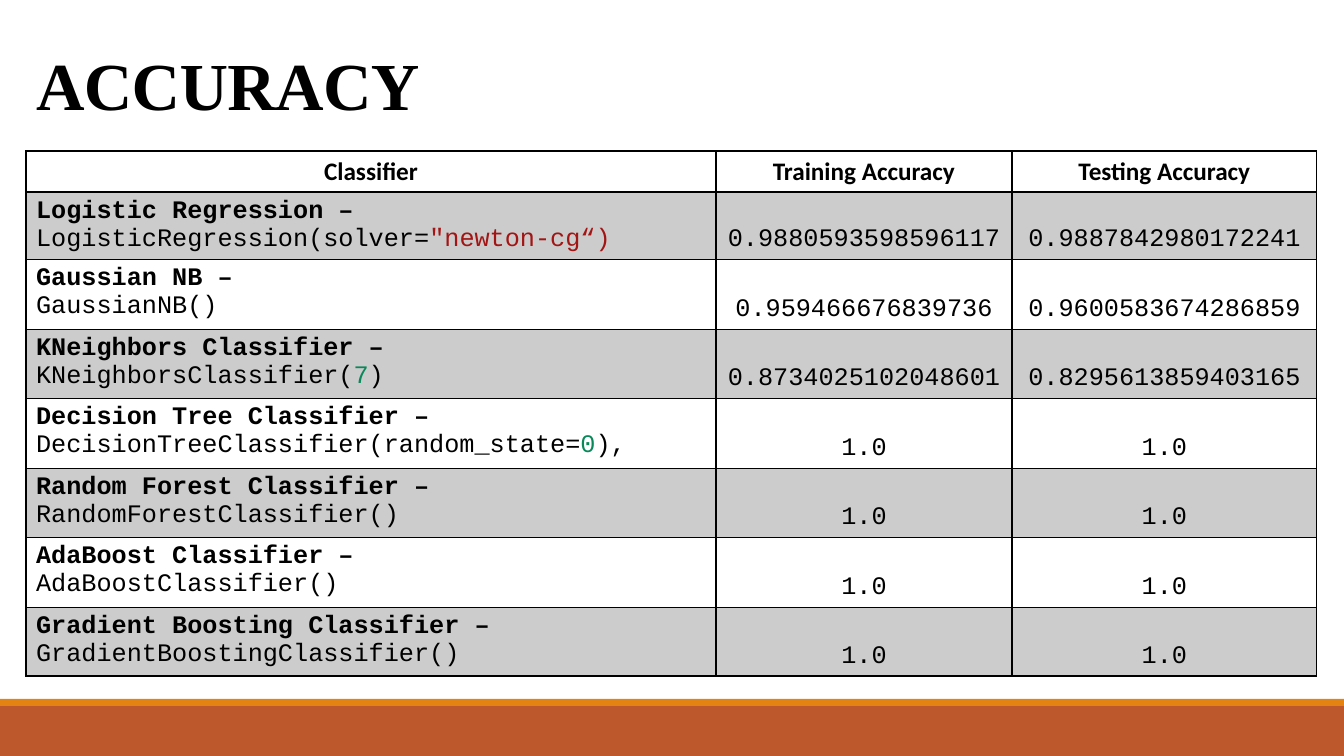
from dataclasses import dataclass

from lxml.etree import SubElement
from pptx import Presentation
from pptx.dml.color import RGBColor
from pptx.enum.shapes import MSO_CONNECTOR, MSO_SHAPE
from pptx.enum.text import MSO_ANCHOR, MSO_AUTO_SIZE, PP_ALIGN
from pptx.oxml.ns import qn
from pptx.slide import Slide
from pptx.table import _Cell
from pptx.text.text import _Paragraph
from pptx.util import Emu, Pt

PX_PER_INCH = 100.8
BLACK, STRING_RED, NUMBER_GREEN = "000000", "A31515", "09885A"
CODE_FONT = "Courier New"
HEADERS = ("Classifier", "Training Accuracy", "Testing Accuracy")
COLUMN_WIDTHS = (690, 296, 305)
ROW_HEIGHTS = (41, 67) + (70, 69) * 3


@dataclass(frozen=True)
class Fragment:
    text: str
    colour: str = BLACK


@dataclass(frozen=True)
class Classifier:
    name: str
    code: tuple[Fragment, ...]
    training: str = "1.0"
    testing: str = "1.0"


@dataclass(frozen=True)
class Band:
    top: int
    height: int
    colour: str


CLASSIFIERS = (
    Classifier("Logistic Regression",
               (Fragment("LogisticRegression(solver="), Fragment('"newton-cg“)', STRING_RED)),
               "0.9880593598596117", "0.9887842980172241"),
    Classifier("Gaussian NB", (Fragment("GaussianNB()"),),
               "0.959466676839736", "0.9600583674286859"),
    Classifier("KNeighbors Classifier",
               (Fragment("KNeighborsClassifier("), Fragment("7", NUMBER_GREEN), Fragment(")")),
               "0.8734025102048601", "0.8295613859403165"),
    Classifier("Decision Tree Classifier",
               (Fragment("DecisionTreeClassifier(random_state="), Fragment("0", NUMBER_GREEN),
                Fragment("),"))),
    Classifier("Random Forest Classifier", (Fragment("RandomForestClassifier()"),)),
    Classifier("AdaBoost Classifier", (Fragment("AdaBoostClassifier()"),)),
    Classifier("Gradient Boosting Classifier", (Fragment("GradientBoostingClassifier()"),)),
)
FOOTER_BANDS = (Band(706, 50, "BD582C"), Band(699, 7, "E48312"))


def px(length: int) -> Emu:
    return Emu(round(length * 914400 / PX_PER_INCH))


def rgb(colour: str) -> RGBColor:
    return RGBColor.from_string(colour)


def add_run(paragraph: _Paragraph, fragment: Fragment, font: str = CODE_FONT,
            size: int = 18, bold: bool = False):
    run = paragraph.add_run()
    run.text = fragment.text
    run.font.name, run.font.size, run.font.bold = font, Pt(size), bold
    run.font.color.rgb = rgb(fragment.colour)
    return run


def add_footer_band(slide: Slide, band: Band) -> None:
    stripe = slide.shapes.add_shape(MSO_SHAPE.RECTANGLE, 0, px(band.top), px(1344), px(band.height))
    stripe.shadow.inherit = False
    stripe.fill.solid()
    stripe.fill.fore_color.rgb = rgb(band.colour)
    stripe.line.fill.background()


def add_rule(slide: Slide) -> None:
    rule = slide.shapes.add_connector(MSO_CONNECTOR.STRAIGHT, px(132), px(192), px(1231), px(192))
    rule.line.color.rgb = rgb("808080")
    rule.line.width = Pt(0.5)
    SubElement(rule._element.spPr, qn("a:effectLst"))


def set_title(slide: Slide) -> None:
    title = slide.shapes.title
    title.left, title.top, title.width, title.height = px(26), px(45), px(1109), px(84)
    frame = title.text_frame
    frame.auto_size = MSO_AUTO_SIZE.NONE
    frame.vertical_anchor = MSO_ANCHOR.BOTTOM
    heading = frame.paragraphs[0]
    heading.alignment, heading.line_spacing = PP_ALIGN.LEFT, 0.85
    run = add_run(heading, Fragment("ACCURACY"), "Times New Roman", 48, True)
    run.font._element.set("spc", "-50")


def format_cell(cell: _Cell, row: int) -> None:
    """Draw the borders, heavier under the header, and shade every odd row."""
    properties = cell._tc.get_or_add_tcPr()
    widths = {"lnL": 1, "lnR": 1, "lnT": 2 if row == 1 else 1, "lnB": 2 if row == 0 else 1}
    for side, width in widths.items():
        border = SubElement(properties, qn(f"a:{side}"), w=str(Pt(width)))
        SubElement(SubElement(border, qn("a:solidFill")), qn("a:srgbClr"), val=BLACK)
    if row % 2:
        cell.fill.solid()
        cell.fill.fore_color.rgb = rgb(BLACK)
        shade = properties.find(qn("a:solidFill")).find(qn("a:srgbClr"))
        SubElement(shade, qn("a:alpha"), val="20000")
    else:
        cell.fill.background()


def add_accuracy_table(slide: Slide) -> None:
    table = slide.shapes.add_table(len(ROW_HEIGHTS), len(COLUMN_WIDTHS), px(26), px(151),
                                   px(sum(COLUMN_WIDTHS)), px(sum(ROW_HEIGHTS))).table
    table.first_row = table.horz_banding = False
    for column, width in zip(table.columns, COLUMN_WIDTHS):
        column.width = px(width)
    for index, (row, height) in enumerate(zip(table.rows, ROW_HEIGHTS)):
        row.height = px(height)
        for cell in row.cells:
            format_cell(cell, index)

    for column, header in enumerate(HEADERS):
        paragraph = table.cell(0, column).text_frame.paragraphs[0]
        paragraph.alignment = PP_ALIGN.CENTER
        add_run(paragraph, Fragment(header), "Calibri", bold=True)

    for row, classifier in enumerate(CLASSIFIERS, start=1):
        description = table.cell(row, 0).text_frame
        add_run(description.paragraphs[0], Fragment(f"{classifier.name} –"), bold=True)
        call = description.add_paragraph()
        for fragment in classifier.code:
            add_run(call, fragment)
        for column, accuracy in enumerate((classifier.training, classifier.testing), start=1):
            cell = table.cell(row, column)
            cell.vertical_anchor = MSO_ANCHOR.BOTTOM
            paragraph = cell.text_frame.paragraphs[0]
            paragraph.alignment = PP_ALIGN.CENTER
            add_run(paragraph, Fragment(accuracy))


def main() -> None:
    presentation = Presentation()
    presentation.slide_width, presentation.slide_height = px(1344), px(756)
    slide = presentation.slides.add_slide(presentation.slide_layouts[5])
    for band in FOOTER_BANDS:
        add_footer_band(slide, band)
    add_rule(slide)
    set_title(slide)
    add_accuracy_table(slide)
    presentation.save("out.pptx")


if __name__ == "__main__":
    main()
